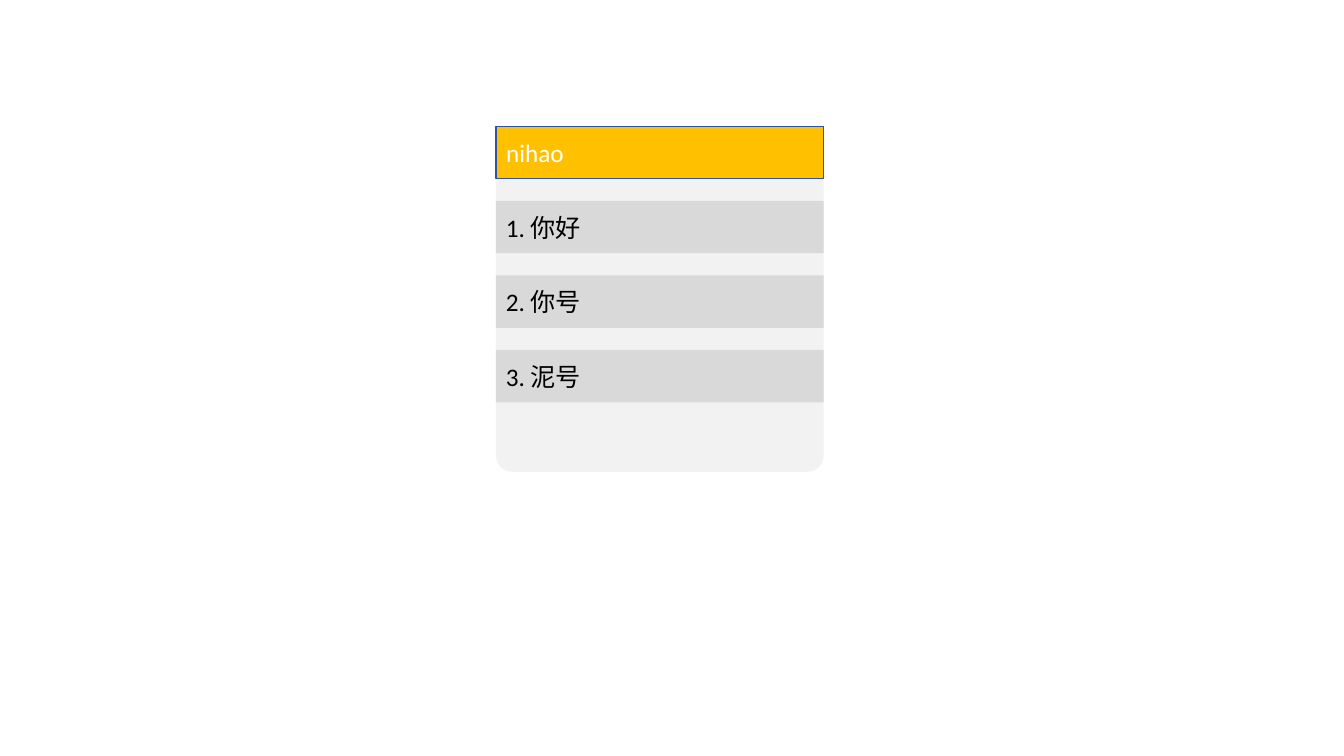
from dataclasses import dataclass

from pptx import Presentation
from pptx.dml.color import RGBColor
from pptx.enum.shapes import MSO_SHAPE
from pptx.enum.text import MSO_ANCHOR, MSO_AUTO_SIZE, PP_ALIGN
from pptx.oxml import parse_xml
from pptx.oxml.ns import nsdecls
from pptx.shapes.autoshape import Shape
from pptx.slide import Slide
from pptx.util import Cm, Pt

COLORS = {
    "panel": "F2F2F2",
    "entry": "D9D9D9",
    "header": "FFC000",
    "header_line": "2E54A1",
    "entry_text": "000000",
    "header_text": "FFFFFF",
}
LEFT, TOP, WIDTH = 12.5, 3.18, 8.26
PANEL_HEIGHT, BAR_HEIGHT = 8.71, 1.32
ENTRY_PITCH = 1.88
HEADER_ROUNDING = 0.3


@dataclass(frozen=True)
class Bar:
    top: float
    height: float
    color: str
    rounding: float = 0
    text: str = ""


def rgb(name: str) -> RGBColor:
    return RGBColor.from_string(COLORS[name])


def fill_solid(shape: Shape, color: str) -> None:
    shape.fill.solid()
    shape.fill.fore_color.rgb = rgb(color)


def write_text(shape: Shape, text: str, *, color: str, size: float = 18,
               font: str = "Calibri") -> None:
    frame = shape.text_frame
    frame.text = text
    frame.word_wrap = True
    frame.auto_size = MSO_AUTO_SIZE.NONE
    frame.vertical_anchor = MSO_ANCHOR.MIDDLE
    paragraph = frame.paragraphs[0]
    paragraph.alignment = PP_ALIGN.LEFT
    paragraph.font.size = Pt(size)
    run_font = paragraph.runs[0].font
    run_font.name = font
    run_font.size = Pt(size)
    run_font.color.rgb = rgb(color)


def draw_bar(slide: Slide, bar: Bar) -> None:
    shape = slide.shapes.add_shape(
        MSO_SHAPE.ROUNDED_RECTANGLE,
        Cm(LEFT), Cm(bar.top), Cm(WIDTH), Cm(bar.height))
    shape.adjustments[0] = bar.rounding
    shape.shadow.inherit = False
    shape.line.fill.background()
    fill_solid(shape, bar.color)
    if bar.text:
        write_text(shape, bar.text, color="entry_text")


def draw_header(slide: Slide, text: str) -> None:
    """Turn the title placeholder into the rounded header in front of the panel."""
    header = slide.shapes.title
    header.left, header.top = Cm(LEFT), Cm(TOP)
    header.width, header.height = Cm(WIDTH), Cm(BAR_HEIGHT)
    header.element.spPr.append(parse_xml(
        f'<a:prstGeom {nsdecls("a")} prst="roundRect"><a:avLst>'
        f'<a:gd name="adj" fmla="val {round(HEADER_ROUNDING * 100000)}"/>'
        '</a:avLst></a:prstGeom>'))
    fill_solid(header, "header")
    header.line.color.rgb = rgb("header_line")
    header.line.width = Pt(1)
    write_text(header, text, color="header_text")
    slide.shapes.element.append(header.element)


def main() -> None:
    deck = Presentation()
    deck.slide_width, deck.slide_height = Cm(33.87), Cm(19.05)
    title_only = deck.slide_layouts[5]
    slide = deck.slides.add_slide(title_only)

    draw_bar(slide, Bar(TOP, PANEL_HEIGHT, "panel", rounding=0.05))
    for number, word in enumerate(("你好", "你号", "泥号"), start=1):
        draw_bar(slide, Bar(TOP + number * ENTRY_PITCH, BAR_HEIGHT, "entry",
                            text=f"{number}. {word}"))
    draw_header(slide, "nihao")

    deck.save("out.pptx")


if __name__ == "__main__":
    main()
